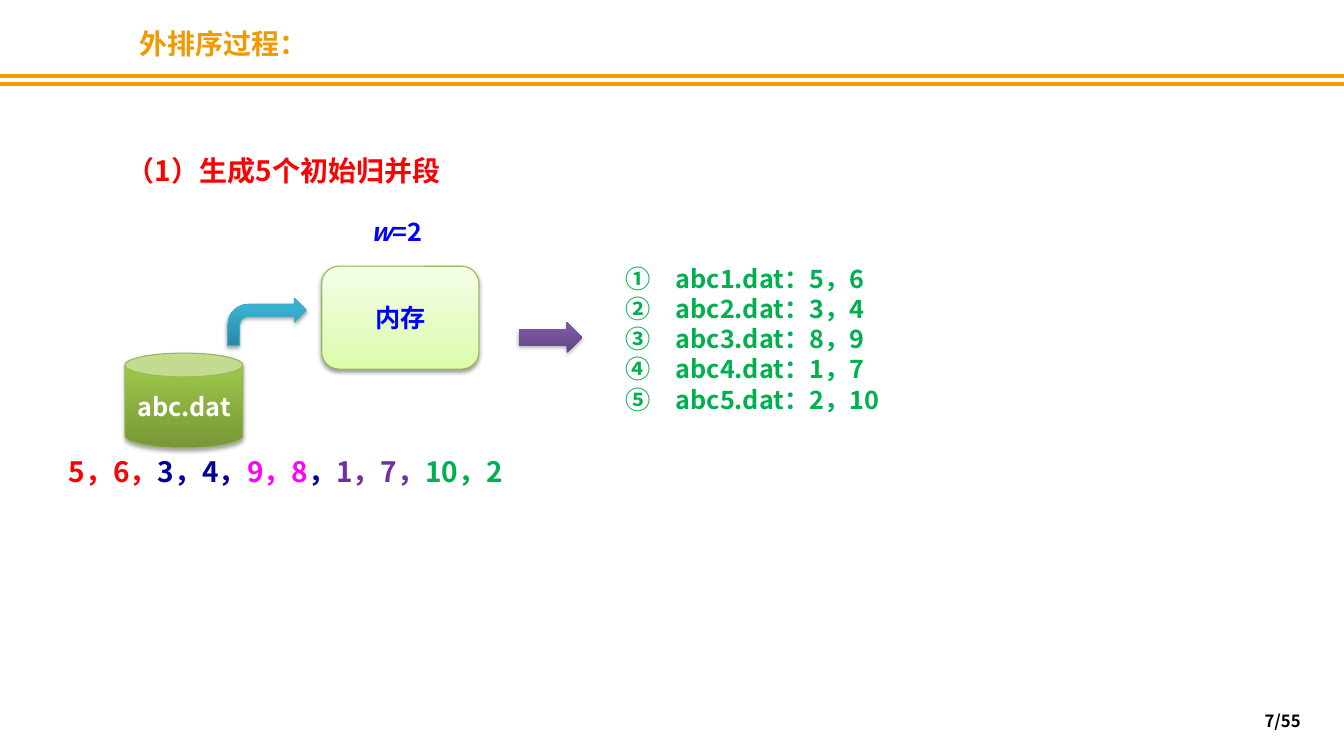
"""Builds the slide on generating initial runs in external sorting."""
from lxml import etree
from pptx import Presentation
from pptx.dml.color import RGBColor
from pptx.enum.shapes import MSO_CONNECTOR, MSO_SHAPE
from pptx.enum.text import MSO_ANCHOR, MSO_AUTO_SIZE, PP_ALIGN
from pptx.oxml import parse_xml
from pptx.oxml.ns import nsdecls, qn
from pptx.util import Cm, Pt

LEFT, CENTER, RIGHT = PP_ALIGN.LEFT, PP_ALIGN.CENTER, PP_ALIGN.RIGHT
TOP, MIDDLE = MSO_ANCHOR.TOP, MSO_ANCHOR.MIDDLE
GROW = MSO_AUTO_SIZE.SHAPE_TO_FIT_TEXT
STRAIGHT = MSO_CONNECTOR.STRAIGHT
RECT, ROUNDED, CAN = MSO_SHAPE.RECTANGLE, MSO_SHAPE.ROUNDED_RECTANGLE, MSO_SHAPE.CAN
BENT_ARROW, RIGHT_ARROW = MSO_SHAPE.BENT_ARROW, MSO_SHAPE.RIGHT_ARROW

THEME = {
    "font": "Noto Sans CJK SC",
    "heading": 20, "body": 18, "footer": 12,
    "orange": "F19903", "red": "FF0000", "navy": "000099", "pink": "FF00FF",
    "purple": "7030A0", "green": "00B050", "blue": "0000FF",
    "white": "FFFFFF", "black": "000000",
    "olive line": "98B955", "teal line": "46AAC5",
    "memory": [(0, "DAFDA7"), (35, "E4FCC2"), (100, "F5FFE7")],
    "disk": [(0, "779737"), (80, "9BC348"), (100, "9DC746")],
    "load": [(0, "2A88A2"), (80, "37B1D2"), (100, "34B4D6")],
    "emit": [(0, "5F4480"), (80, "7B58A6"), (100, "7C57A8")],
}

RULES = [1.92, 2.12]
LABELS = [
    ((2.86, 0.55, 5.56, 1.12), [("外排序过程：", "orange", False)], "heading", CENTER, TOP),
    ((2.95, 3.75, 11.13, 1.12), [("（1）生成5个初始归并段", "red", False)], "heading", LEFT, TOP),
    ((9.1, 5.33, 1.98, 1.02), [("w", "blue", True), ("=2", "blue", False)], "body", LEFT, TOP),
    ((1.48, 11.33, 12.29, 1.12),
     [("5，6，", "red", False), ("3，4，", "navy", False), ("9，8", "pink", False),
      ("，", "navy", False), ("1，7，", "purple", False), ("10，2", "green", False)],
     "heading", LEFT, TOP),
    ((25.13, 17.65, 7.9, 1.02), [("7/55", "black", False)], "footer", RIGHT, MIDDLE),
]
STEPS = [
    (ROUNDED, (8.11, 6.71, 3.96, 2.59), "memory", "olive line", 38, 1.6, ("内存", "blue")),
    (CAN, (3.15, 8.9, 2.97, 2.39), "disk", "olive line", 35, 1.8, ("abc.dat", "white")),
    (BENT_ARROW, (5.74, 7.52, 1.98, 1.19), "load", "teal line", 35, 1.8, None),
    (RIGHT_ARROW, (13.08, 8.11, 1.6, 0.79), "emit", None, 35, 1.8, None),
]
RUN_FILES = ["abc1.dat：5，6", "abc2.dat：3，4", "abc3.dat：8，9",
             "abc4.dat：1，7", "abc5.dat：2，10"]
RUN_BOX = (15.26, 6.33, 8.74, 4.45)
NUMBER_INDENT = Cm(1.27)


def rgb(key):
    return RGBColor.from_string(THEME[key])


def set_gradient(shape, key):
    shape.fill.gradient()
    gradient = shape.element.spPr.find(qn("a:gradFill"))
    stops = "".join(f'<a:gs pos="{pos * 1000}"><a:srgbClr val="{color}"/></a:gs>'
                    for pos, color in THEME[key])
    gradient.getparent().replace(gradient, parse_xml(
        f'<a:gradFill {nsdecls("a")} rotWithShape="1"><a:gsLst>{stops}</a:gsLst>'
        f'<a:lin ang="16200000" scaled="0"/></a:gradFill>'))


def add_shadow(shape, alpha, distance):
    shape.element.spPr.find(qn("a:effectLst")).append(parse_xml(
        f'<a:outerShdw {nsdecls("a")} blurRad="{Pt(3.1)}" dist="{Pt(distance)}" '
        f'dir="5400000" rotWithShape="0"><a:srgbClr val="000000">'
        f'<a:alpha val="{alpha * 1000}"/></a:srgbClr></a:outerShdw>'))


def write(paragraph, runs, size, align):
    paragraph.alignment = align
    font = paragraph.font
    font.name, font.size, font.bold = THEME["font"], Pt(THEME[size]), True
    latin = paragraph._p.pPr.find(qn("a:defRPr")).find(qn("a:latin"))
    latin.addnext(etree.Element(qn("a:ea"), typeface=THEME["font"]))
    for text, color, italic in runs:
        run = paragraph.add_run()
        run.text = text
        run.font.color.rgb = rgb(color)
        if italic:
            run.font.italic = True


def add_label(slide, box, runs, size, align, anchor):
    frame = slide.shapes.add_textbox(*map(Cm, box)).text_frame
    frame.word_wrap = True
    frame.vertical_anchor = anchor
    write(frame.paragraphs[0], runs, size, align)


def add_step(slide, preset, box, fill, line, alpha, distance, caption):
    step = slide.shapes.add_shape(preset, *map(Cm, box))
    step.shadow.inherit = False
    set_gradient(step, fill)
    if line:
        step.line.color.rgb = rgb(line)
        step.line.width = Pt(0.75)
    else:
        step.line.fill.background()
    add_shadow(step, alpha, distance)
    if caption:
        frame = step.text_frame
        frame.word_wrap = False
        frame.vertical_anchor = MIDDLE
        write(frame.paragraphs[0], [(*caption, False)], "body", CENTER)


def add_run_files(slide):
    listing = slide.shapes.add_shape(RECT, *map(Cm, RUN_BOX))
    listing.shadow.inherit = False
    listing.fill.solid()
    listing.fill.fore_color.rgb = rgb("white")
    listing.line.fill.background()
    frame = listing.text_frame
    frame.word_wrap, frame.auto_size, frame.vertical_anchor = True, GROW, TOP
    frame.margin_left, frame.margin_right = Cm(0.5), Cm(0.25)
    frame.margin_top = frame.margin_bottom = Cm(0.3)
    for index, name in enumerate(RUN_FILES):
        item = frame.add_paragraph() if index else frame.paragraphs[0]
        properties = item._p.get_or_add_pPr()
        properties.set("marL", str(NUMBER_INDENT))
        properties.set("indent", str(-NUMBER_INDENT))
        etree.SubElement(properties, qn("a:buFont"), typeface="+mj-lt")
        etree.SubElement(properties, qn("a:buAutoNum"), type="circleNumDbPlain")
        write(item, [(name, "green", False)], "body", LEFT)


def main():
    deck = Presentation()
    deck.slide_width, deck.slide_height = Cm(33.87), Cm(19.05)
    slide = deck.slides.add_slide(deck.slide_layouts[6])
    for y in RULES:
        rule = slide.shapes.add_connector(STRAIGHT, 0, Cm(y), deck.slide_width, Cm(y))
        rule.line.color.rgb = rgb("orange")
        rule.line.width = Pt(3)
        etree.SubElement(rule.element.spPr, qn("a:effectLst"))
    for label in LABELS:
        add_label(slide, *label)
    for step in STEPS:
        add_step(slide, *step)
    add_run_files(slide)
    deck.save("out.pptx")


if __name__ == "__main__":
    main()
